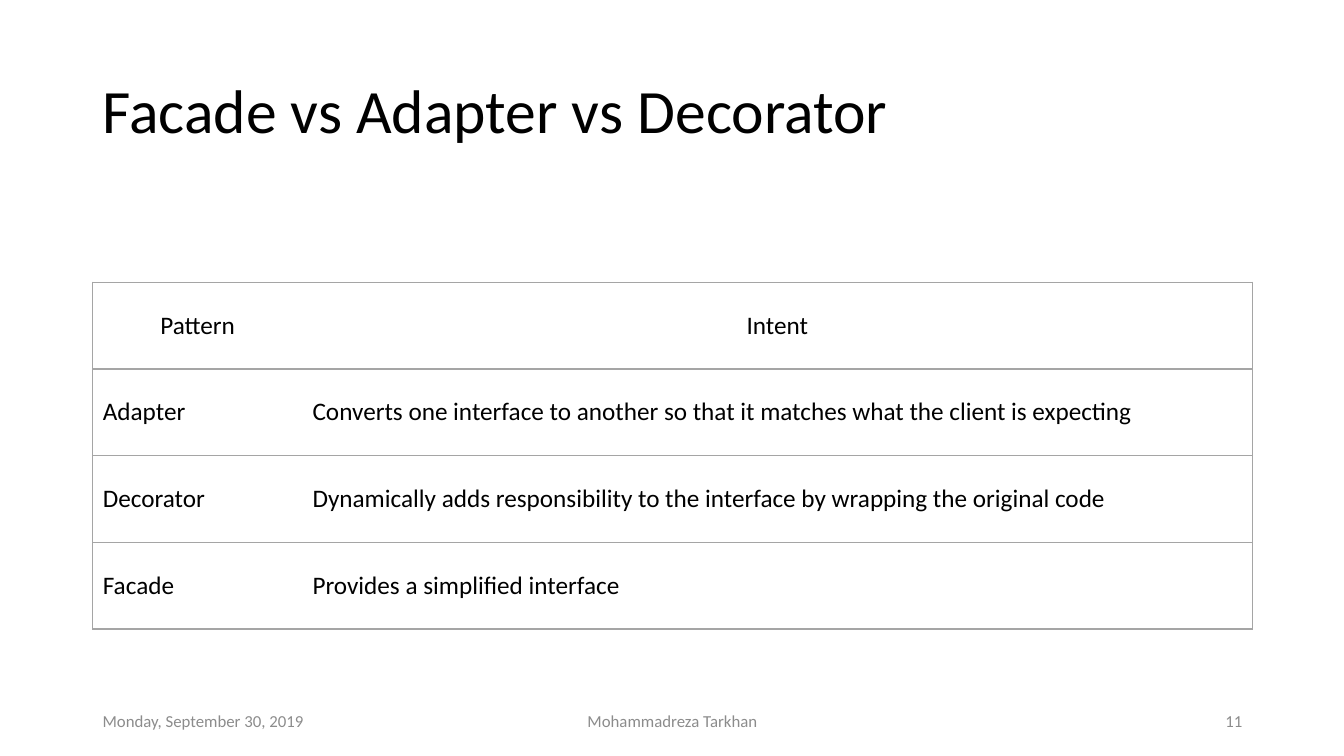
from dataclasses import dataclass

from lxml.etree import SubElement
from pptx import Presentation
from pptx.dml.color import RGBColor
from pptx.enum.text import MSO_ANCHOR as Anchor, PP_ALIGN as Align
from pptx.oxml.ns import qn
from pptx.slide import Slide
from pptx.table import _Cell as Cell
from pptx.text.text import TextFrame
from pptx.util import Inches, Pt


@dataclass(frozen=True)
class Theme:
    """Colours, font and type sizes of the slide."""
    font: str = "Calibri"
    ink: str = "000000"
    muted: str = "8C8C8C"
    paper: str = "FFFFFF"
    rule: str = "A5A5A5"
    title_size: int = 44
    table_size: int = 18
    footer_size: int = 12
    rule_width: int = 1


@dataclass(frozen=True)
class Label:
    """A line of text in a box, measured in inches."""
    text: str
    left: float
    top: float
    width: float
    height: float
    size: int
    color: str
    align: Align = Align.LEFT
    line_spacing: float = 1.0


@dataclass(frozen=True)
class Pattern:
    """A table row: a design pattern and its intent."""
    name: str
    intent: str


THEME = Theme()
SLIDE_W, SLIDE_H = 13.33, 7.5
CONTENT_W = 11.5
MARGIN = round((SLIDE_W - CONTENT_W) / 2, 2)
NAME_W = 2.08
ROW_H = 0.86
TABLE_TOP = 2.8
FOOTER_TOP, FOOTER_H = 6.95, 0.4
SIDE_W, CENTRE_W = 3, 4.5

HEADING = Pattern("Pattern", "Intent")
PATTERNS = [
    Pattern("Adapter", "Converts one interface to another so that it matches what the client is expecting"),
    Pattern("Decorator", "Dynamically adds responsibility to the interface by wrapping the original code"),
    Pattern("Facade", "Provides a simplified interface"),
]


def footer(text: str, width: float, share: float, align: Align) -> Label:
    """Place a footer label at a share of the free content width."""
    left = MARGIN + (CONTENT_W - width) * share
    return Label(text, left, FOOTER_TOP, width, FOOTER_H, THEME.footer_size, THEME.muted, align)


LABELS = [
    Label("Facade vs Adapter vs Decorator", MARGIN, 0.4, CONTENT_W, 1.45,
          THEME.title_size, THEME.ink, line_spacing=0.9),
    footer("Monday, September 30, 2019", SIDE_W, 0, Align.LEFT),
    footer("Mohammadreza Tarkhan", CENTRE_W, 0.5, Align.CENTER),
    footer("11", SIDE_W, 1, Align.RIGHT),
]


def write(frame: TextFrame, text: str, size: int, color: str, align: Align) -> None:
    """Write one styled paragraph into a text frame."""
    paragraph = frame.paragraphs[0]
    paragraph.text = text
    paragraph.alignment = align
    paragraph.font.name = THEME.font
    paragraph.font.size = Pt(size)
    paragraph.font.color.rgb = RGBColor.from_string(color)


def draw_label(slide: Slide, label: Label) -> None:
    """Draw a label as a wrapping, vertically centred text box."""
    box = slide.shapes.add_textbox(*map(Inches, (label.left, label.top, label.width, label.height)))
    frame = box.text_frame
    frame.word_wrap = True
    frame.vertical_anchor = Anchor.MIDDLE
    write(frame, label.text, label.size, label.color, label.align)
    frame.paragraphs[0].line_spacing = label.line_spacing


def set_borders(cell: Cell, ruled: str) -> None:
    """Rule the sides named in ruled (letters of LRTB) and clear the others."""
    properties = cell._tc.get_or_add_tcPr()
    for side in "LRTB":
        line = SubElement(properties, qn(f"a:ln{side}"), w=str(Pt(THEME.rule_width)))
        if side in ruled:
            fill = SubElement(line, qn("a:solidFill"))
            SubElement(fill, qn("a:srgbClr"), val=THEME.rule)
        else:
            SubElement(line, qn("a:noFill"))


def draw_cell(cell: Cell, text: str, align: Align, ruled: str) -> None:
    """Fill, rule and write one table cell."""
    set_borders(cell, ruled)
    cell.fill.solid()
    cell.fill.fore_color.rgb = RGBColor.from_string(THEME.paper)
    cell.vertical_anchor = Anchor.MIDDLE
    write(cell.text_frame, text, THEME.table_size, THEME.ink, align)


def draw_patterns(slide: Slide) -> None:
    """Draw the table comparing the patterns."""
    rows = [HEADING, *PATTERNS]
    table = slide.shapes.add_table(
        len(rows), 2, *map(Inches, (MARGIN, TABLE_TOP, CONTENT_W, ROW_H * len(rows)))).table
    table.first_row = table.horz_banding = False
    for column, width in zip(table.columns, (NAME_W, CONTENT_W - NAME_W)):
        column.width = Inches(width)
    for index, pattern in enumerate(rows):
        table.rows[index].height = Inches(ROW_H)
        align = Align.CENTER if pattern is HEADING else Align.LEFT
        draw_cell(table.cell(index, 0), pattern.name, align, "LTB")
        draw_cell(table.cell(index, 1), pattern.intent, align, "RTB")


def main() -> None:
    """Build and save the slide."""
    deck = Presentation()
    deck.slide_width, deck.slide_height = Inches(SLIDE_W), Inches(SLIDE_H)
    slide = deck.slides.add_slide(deck.slide_layouts[6])
    draw_patterns(slide)
    for label in LABELS:
        draw_label(slide, label)
    deck.save("out.pptx")


main()
